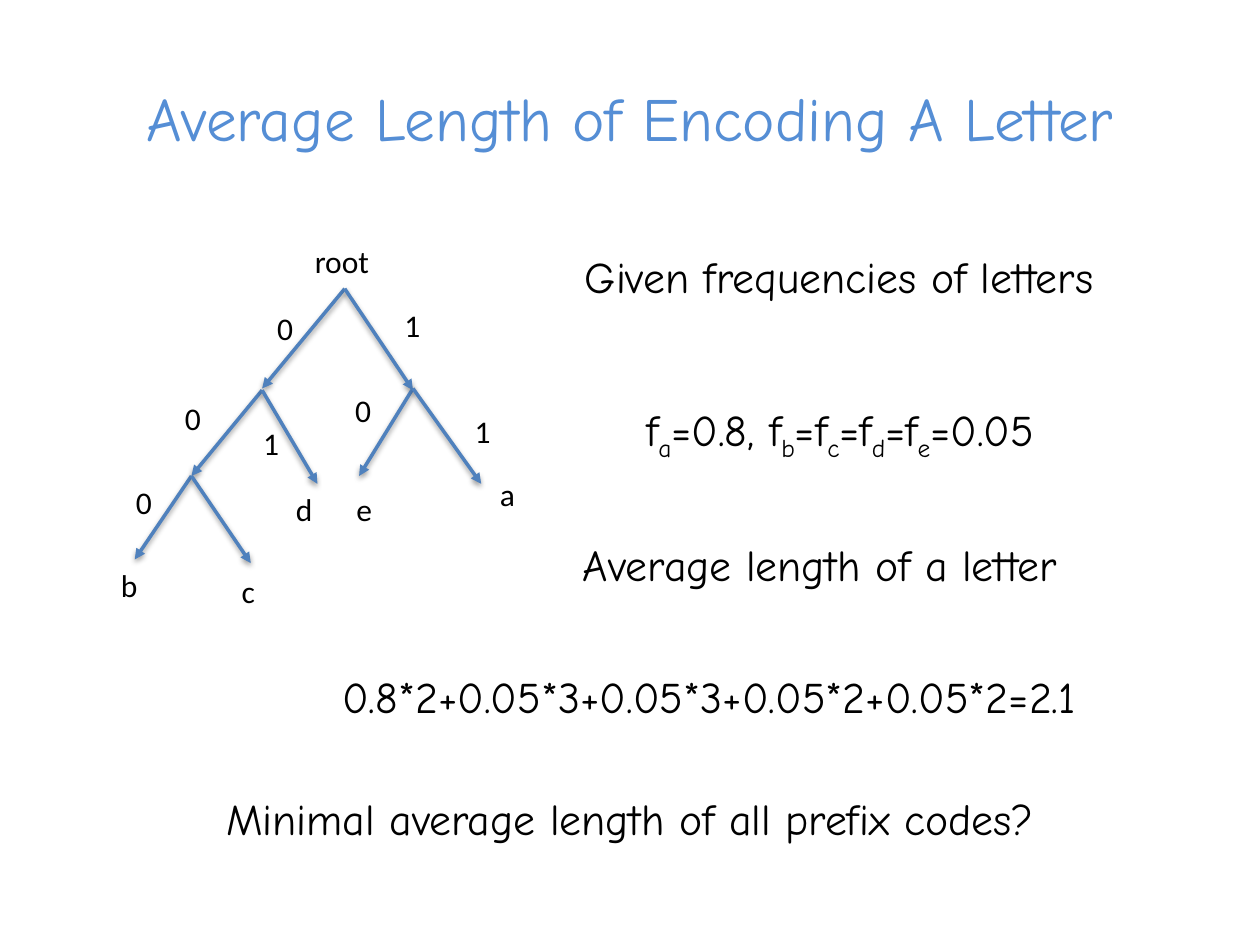
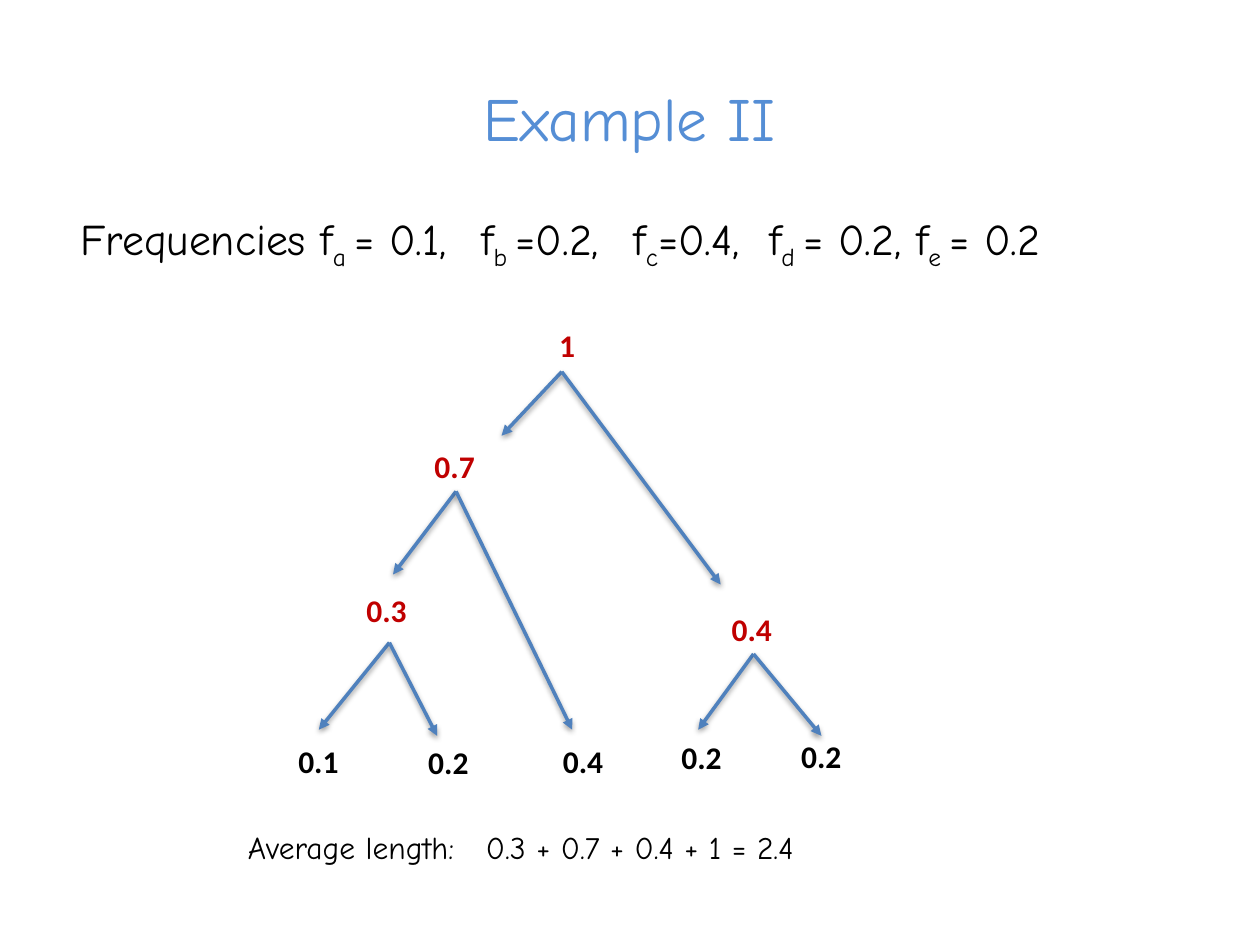
from lxml import etree
from pptx import Presentation
from pptx import util as u
from pptx.dml.color import RGBColor
from pptx.enum import shapes, text
from pptx.oxml import ns

COLORS = {"title": "558ED5", "ink": "000000", "weight": "C00000", "edge": "4F81BD", "shadow": "000000"}
HAND, PLAIN = "Comic Neue", "Calibri"
FORMATS = {
    "title": {"name": HAND, "size": u.Pt(35)},
    "body": {"name": HAND, "size": u.Pt(25)},
    "note": {"name": HAND, "size": u.Pt(18)},
    "label": {"name": PLAIN, "size": u.Pt(18)},
    "weight": {"name": PLAIN, "size": u.Pt(18), "bold": True},
}
LABEL_HEIGHT = 29
BODY_HEIGHT = 37


def add_element(parent, tag, **attributes):
    element = etree.SubElement(parent, ns.qn(tag))
    for name, value in attributes.items():
        element.set(name, str(value))
    return element


class Deck:
    def __init__(self):
        self.presentation = Presentation()
        self.presentation.slide_width = u.Pt(720)
        self.presentation.slide_height = u.Pt(540)
        self.slide = None

    def add_slide(self, title):
        self.slide = self.presentation.slides.add_slide(self.presentation.slide_layouts[6])
        self.add_text(title, 36, 42, 648, 50, "title", "title", text.PP_ALIGN.CENTER)

    def add_text(self, content, left, top, width, height, style, color="ink",
                 alignment=text.PP_ALIGN.LEFT, space_before=0, tabs=()):
        shape = self.slide.shapes.add_textbox(*map(u.Pt, (left, top, width, height)))
        frame = shape.text_frame
        anchor = text.MSO_ANCHOR.MIDDLE if style == "title" else text.MSO_ANCHOR.TOP
        for name, value in {"word_wrap": True, "vertical_anchor": anchor}.items():
            setattr(frame, name, value)
        paragraph = frame.paragraphs[0]
        for name, value in {"alignment": alignment, "space_before": u.Pt(space_before)}.items():
            setattr(paragraph, name, value)
        if tabs:
            tab_list = add_element(paragraph._p.get_or_add_pPr(), "a:tabLst")
            for position in tabs:
                add_element(tab_list, "a:tab", pos=int(u.Pt(position)), algn="l")
        for index, part in enumerate(content.split("|")):
            run = paragraph.add_run()
            run.text = part
            for name, value in FORMATS[style].items():
                setattr(run.font, name, value)
            run.font.color.rgb = RGBColor.from_string(COLORS[color])
            if index % 2:
                run._r.get_or_add_rPr().set("baseline", "-25000")

    def statement(self, content, left, top):
        self.add_text(content, left, top, 629, BODY_HEIGHT, "body",
                      alignment=text.PP_ALIGN.CENTER, space_before=4)

    def label(self, content, left, top, width=24):
        self.add_text(content, left, top, width, LABEL_HEIGHT, "label")

    def weight(self, content, left, top, color="ink", width=39):
        self.add_text(content, left, top, width, LABEL_HEIGHT, "weight", color)

    def arrow(self, start, end):
        connector = self.slide.shapes.add_connector(
            shapes.MSO_CONNECTOR.STRAIGHT, *map(u.Pt, (*start, *end)))
        connector.line.width = u.Pt(2)
        connector.line.color.rgb = RGBColor.from_string(COLORS["edge"])
        add_element(connector.line._get_or_add_ln(), "a:tailEnd", type="triangle")
        effects = add_element(connector._element.spPr, "a:effectLst")
        shadow = add_element(effects, "a:outerShdw", blurRad=40000, dist=20000,
                             dir=5400000, rotWithShape=0)
        shade = add_element(shadow, "a:srgbClr", val=COLORS["shadow"])
        add_element(shade, "a:alpha", val=38000)

    def branches(self, tree):
        for parent, children in tree:
            for child in children:
                self.arrow(parent, child)


deck = Deck()

deck.add_slide("Average Length of Encoding A Letter")
deck.branches([
    ((197, 165), [(149.8, 222), (236, 223)]),
    ((236, 222), [(205.2, 272), (275, 276.5)]),
    ((149.8, 223), [(109.4, 272), (181.4, 276.5)]),
    ((109.4, 272), [(77, 319.7), (143.3, 321.8)]),
])
deck.label("root", 172.8, 134.6, 47)
for content, left, top in [
    ("1", 224, 171.4), ("0", 195.8, 219.6), ("a", 278.6, 267.8), ("1", 264.2, 231.8),
    ("e", 196.6, 276.5), ("1", 143.3, 239), ("0", 151.2, 172.8), ("d", 162, 276.5),
    ("0", 98.6, 224.6), ("0", 70.6, 272.2), ("b", 62, 319.7), ("c", 131, 323.3),
]:
    deck.label(content, left, top)
for content, left, top in [
    ("Given frequencies of letters", 165, 139),
    ("f|a|=0.8, f|b|=f|c|=f|d|=f|e|=0.05", 165.6, 226.8),
    ("Average length of a letter", 154, 303.8),
    ("0.8*2+0.05*3+0.05*3+0.05*2+0.05*2=2.1", 90.7, 379.4),
    ("Minimal average length of all prefix codes?", 45.4, 448.6),
]:
    deck.statement(content, left, top)

deck.add_slide("Example II")
deck.add_text("Frequencies f|a |= 0.1,\tf|b |=0.2,\tf|c|=0.4,\tf|d |= 0.2, f|e |= 0.2",
              39, 117.4, 674.6, BODY_HEIGHT, "body", tabs=(229, 316, 393.5))
deck.branches([
    ((321, 212.4), [(286.6, 249), (411.8, 334)]),
    ((260.6, 280.8), [(224.6, 328.3), (327, 417)]),
    ((222.5, 367.2), [(182.2, 417), (249.8, 420.5)]),
    ((430.6, 373.7), [(399, 417), (469.4, 420.5)]),
])
for content, left, top in [("1", 312.5, 183), ("0.7", 241.2, 252), ("0.3", 202.3, 334), ("0.4", 411, 345)]:
    deck.weight(content, left, top, "weight")
for content, left, top, width in [
    ("0.1", 163.4, 420.5, 39), ("0.2", 237.6, 421.2, 61), ("0.4", 314.6, 420.5, 39),
    ("0.2", 382.3, 418.3, 39), ("0.2", 450.7, 417.6, 39),
]:
    deck.weight(content, left, top, width=width)
deck.add_text("Average length:\t0.3 + 0.7 + 0.4 + 1 = 2.4", 134.6, 469.4, 559.4, 51, "note", tabs=(136,))

deck.presentation.save("out.pptx")
